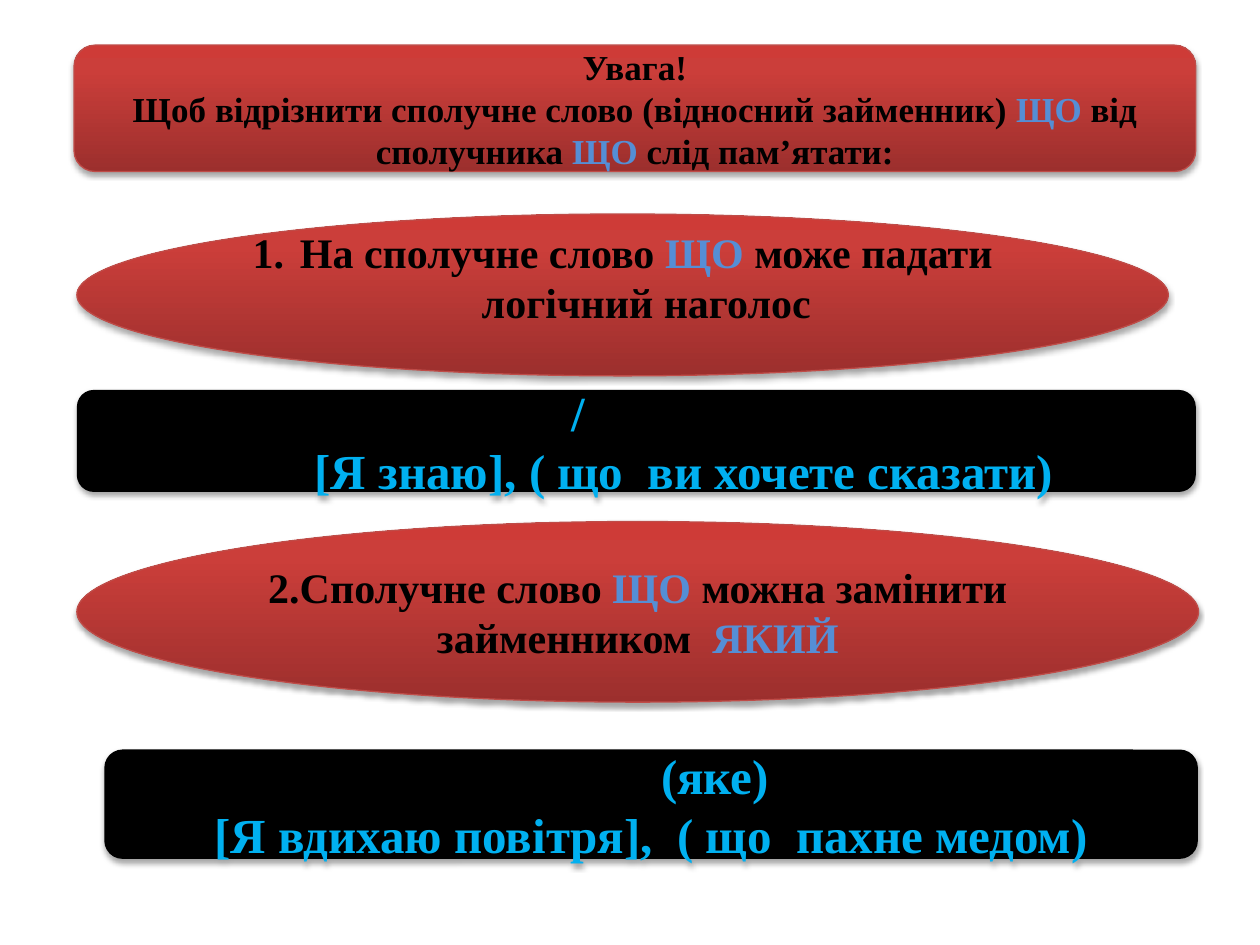
from itertools import cycle
from copy import deepcopy

from lxml.etree import SubElement
from pptx import Presentation
from pptx.dml.color import RGBColor
from pptx.enum.shapes import MSO_SHAPE
from pptx.enum.text import MSO_ANCHOR, PP_ALIGN
from pptx.oxml.ns import qn
from pptx.util import Pt

COLORS = {
    "dark_red": "9C2F2D",
    "red": "CB3E3A",
    "bright_red": "CE3B37",
    "outline": "BF4C48",
    "black": "000000",
    "keyword": "558ED5",
    "example": "00B0F0",
}


def rgb(name):
    return RGBColor.from_string(COLORS[name])


def write(paragraph, text, *, size, color="black", accent="keyword",
          align=PP_ALIGN.CENTER, indent=0, numbered=False):
    paragraph.alignment = align
    properties = paragraph._p.get_or_add_pPr()
    if indent:
        properties.set("marL", str(Pt(indent)))
    if numbered:
        properties.set("indent", str(-Pt(indent)))
        SubElement(properties, qn("a:buAutoNum"), type="arabicPeriod")
    for piece, tone in zip(text.split("*"), cycle((color, accent))):
        if piece:
            run = paragraph.add_run()
            run.text = piece
            run.font.name = "Times New Roman"
            run.font.size = Pt(size)
            run.font.bold = True
            run.font.color.rgb = rgb(tone)


class RuleSlide:
    def __init__(self, slide):
        self.slide = slide
        self.gradient = ((0, "dark_red"), (0.8, "red"), (1, "bright_red"))

    def panel(self, kind, box, extra_bottom=0):
        shape = self.slide.shapes.add_shape(kind, *map(Pt, box))
        self.add_shadow(shape)
        frame = shape.text_frame
        frame.word_wrap = True
        frame.vertical_anchor = MSO_ANCHOR.MIDDLE
        frame.margin_bottom = Pt(3.6 + extra_bottom)
        return shape

    def add_shadow(self, shape):
        shape.shadow.inherit = False
        effects = shape._element.spPr.find(qn("a:effectLst"))
        shadow = SubElement(effects, qn("a:outerShdw"), blurRad=str(Pt(3.1)),
                            dist=str(Pt(1.8)), dir="5400000", rotWithShape="0")
        tint = SubElement(shadow, qn("a:srgbClr"), val=COLORS["black"])
        SubElement(tint, qn("a:alpha"), val="35000")

    def fill_red(self, shape):
        shape.fill.gradient()
        shape.fill.gradient_angle = 90
        stops = shape._element.spPr.find(qn("a:gradFill")).find(qn("a:gsLst"))
        stops.append(deepcopy(stops[0]))
        for stop, (position, color) in zip(shape.fill.gradient_stops, self.gradient):
            stop.position = position
            stop.color.rgb = rgb(color)
        shape.line.color.rgb = rgb("outline")
        shape.line.width = Pt(0.75)

    def fill_text(self, shape, lines, **style):
        frame = shape.text_frame
        for index, (text, layout) in enumerate(lines):
            paragraph = frame.add_paragraph() if index else frame.paragraphs[0]
            write(paragraph, text, **style, **layout)

    def heading(self, box, *lines):
        banner = self.panel(MSO_SHAPE.ROUNDED_RECTANGLE, box)
        self.fill_red(banner)
        self.fill_text(banner, [(line, {}) for line in lines], size=20)

    def rule(self, box, text, extra_bottom=0, **layout):
        oval = self.panel(MSO_SHAPE.OVAL, box, extra_bottom)
        self.fill_red(oval)
        self.fill_text(oval, [(text, layout)], size=24)

    def example(self, box, *lines):
        board = self.panel(MSO_SHAPE.ROUNDED_RECTANGLE, box)
        board.fill.solid()
        board.fill.fore_color.rgb = rgb("black")
        board.line.fill.background()
        self.fill_text(board, lines, size=28, color="example")


def indented(points):
    return {"align": PP_ALIGN.LEFT, "indent": points}


def main():
    deck = Presentation()
    deck.slide_width, deck.slide_height = Pt(720), Pt(540)
    page = RuleSlide(deck.slides.add_slide(deck.slide_layouts[6]))

    page.heading(
        (42.3, 25.8, 641, 72.2),
        "Увага!",
        "Щоб відрізнити сполучне слово (відносний займенник) *ЩО* від "
        "сполучника *ЩО *слід пам’ятати:",
    )
    page.rule(
        (43.9, 122.3, 623.7, 92.5),
        "На сполучне слово *ЩО* може падати логічний наголос",
        extra_bottom=20.7, indent=27, numbered=True,
    )
    page.rule(
        (43.9, 298, 641, 103.2),
        "2.Сполучне слово *ЩО* можна замінити займенником  *ЯКИЙ*",
    )
    page.example(
        (43.9, 222.8, 639.4, 58.3),
        ("/", indented(273)),
        ("[Я знаю], ( що  ви хочете сказати)", indented(126)),
    )
    page.example(
        (59.6, 428.3, 624.9, 62.5),
        ("(яке)", indented(308)),
        ("[Я вдихаю повітря],  ( що  пахне медом)", {}),
    )
    deck.save("out.pptx")


if __name__ == "__main__":
    main()
